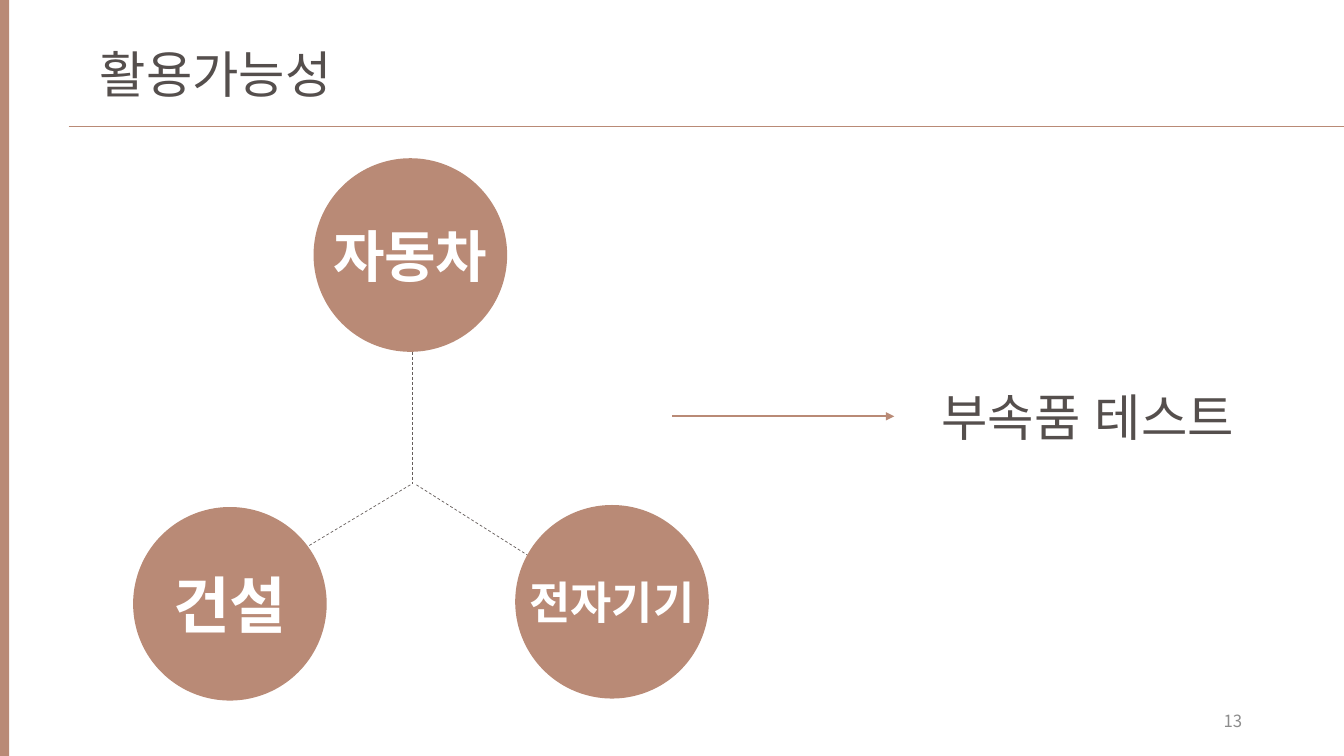
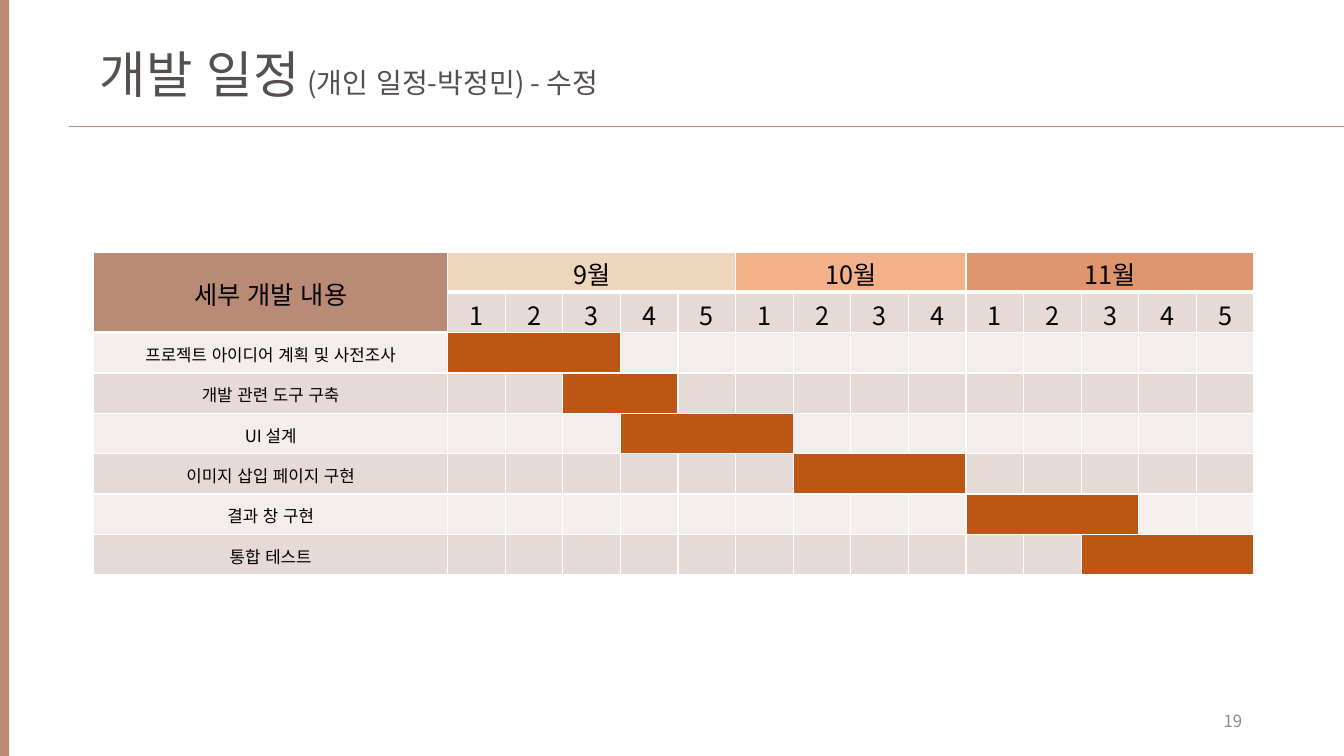
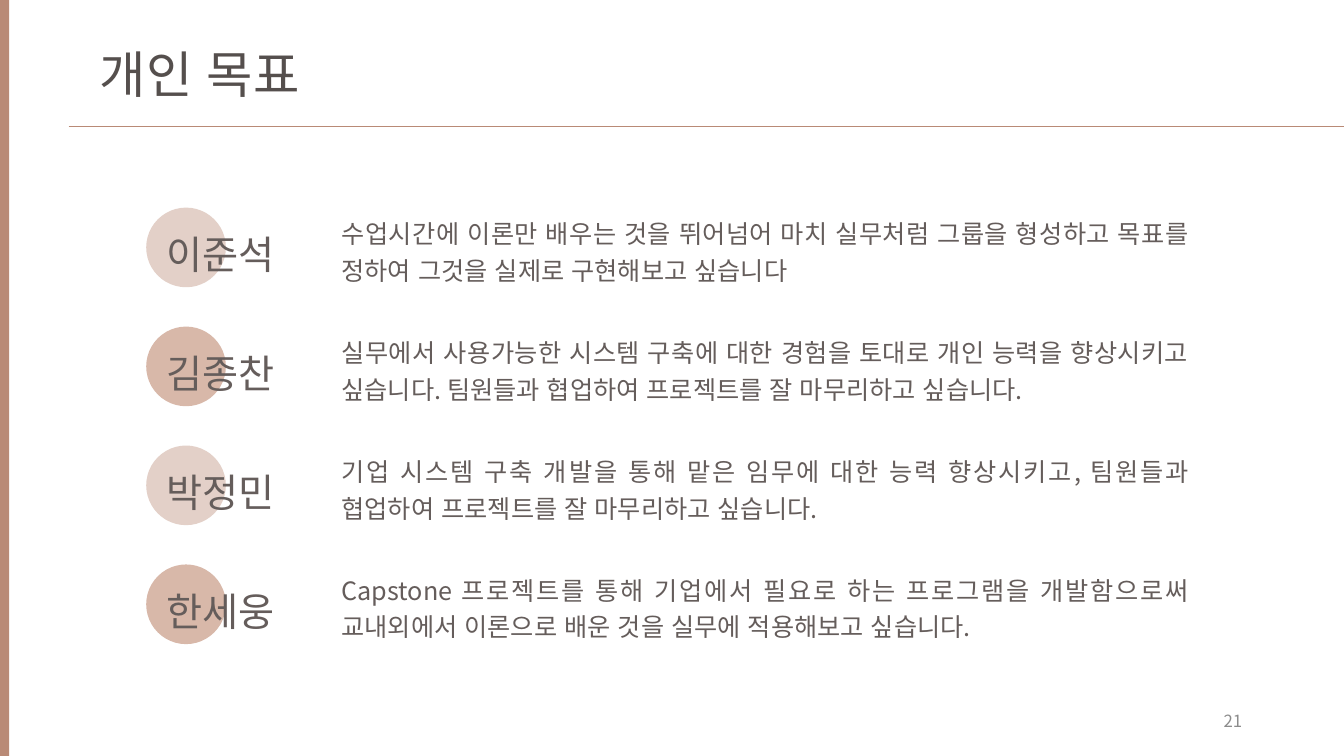
from dataclasses import dataclass

from lxml.etree import SubElement
from pptx import Presentation
from pptx.dml.color import RGBColor
from pptx.enum.dml import MSO_LINE
from pptx.enum.lang import MSO_LANGUAGE_ID
from pptx.enum.shapes import MSO_CONNECTOR, MSO_SHAPE
from pptx.enum.text import MSO_ANCHOR, MSO_AUTO_SIZE, PP_ALIGN
from pptx.oxml import parse_xml
from pptx.oxml.ns import nsdecls, qn
from pptx.util import Inches, Pt


@dataclass(frozen=True)
class Theme:
    font: str = "Noto Sans CJK KR"
    # colours
    accent: str = "B98A76"
    title: str = "554F4D"
    body: str = "655D5B"
    page: str = "8C8C8C"
    white: str = "FFFFFF"
    black: str = "000000"
    september: str = "EED6BC"
    october: str = "F2B189"
    november: str = "DE956D"
    band_dark: str = "E6DAD6"
    band_light: str = "F3EDEC"
    band_pale: str = "F6F1F0"
    bar: str = "BD5515"
    dot_light: str = "E3D0C8"
    dot_dark: str = "D8B8A9"
    # type sizes
    title_size: int = 36
    subtitle_size: int = 20
    name_size: int = 28
    body_size: int = 18
    small_size: int = 12


THEME = Theme()


class Deck:
    def __init__(self, theme):
        self.theme = theme
        self.prs = Presentation()
        self.prs.slide_width, self.prs.slide_height = Inches(13.33), Inches(7.5)
        self.slide = None

    def new_slide(self, title, page, title_width, subtitle=""):
        """Title, side band, rule and page number shared by all slides."""
        t = self.theme
        self.slide = self.prs.slides.add_slide(self.prs.slide_layouts[5])
        self.line((0.68, 1.25), (13.33, 1.25), t.accent)
        self.shape(MSO_SHAPE.RECTANGLE, 0, 0, 0.09, 7.5, t.accent)

        heading = self.slide.shapes.title
        heading.left, heading.top = Inches(0.89), Inches(0.38)
        heading.width, heading.height = Inches(title_width), Inches(0.71)
        frame = heading.text_frame
        frame.word_wrap, frame.auto_size = True, MSO_AUTO_SIZE.NONE
        frame.vertical_anchor = MSO_ANCHOR.TOP
        frame.text = title
        paragraph = frame.paragraphs[0]
        self.format(paragraph, t.title_size, t.title, PP_ALIGN.LEFT, spacing=1)
        if subtitle:
            run = paragraph.add_run()
            run.text = subtitle
            self.format_run(run, t.subtitle_size, t.title)

        self.text(page, 9.42, 6.95, 3, 0.4, t.small_size, t.page,
                  PP_ALIGN.RIGHT, anchor=MSO_ANCHOR.MIDDLE, grow=False)

    def format_run(self, run, size, color, bold=False):
        font = run.font
        font.name, font.size, font.bold = self.theme.font, Pt(size), bold
        font.color.rgb = RGBColor.from_string(color)
        font.language_id = MSO_LANGUAGE_ID.KOREAN
        latin = run._r.rPr.find(qn("a:latin"))
        latin.addnext(parse_xml(
            f'<a:ea {nsdecls("a")} typeface="{self.theme.font}"/>'))

    def format(self, paragraph, size, color, align, bold=False, spacing=None):
        paragraph.alignment = align
        paragraph.line_spacing = spacing
        for run in paragraph.runs:
            self.format_run(run, size, color, bold)

    def text(self, words, x, y, w, h, size, color, align=PP_ALIGN.LEFT,
             spacing=None, anchor=MSO_ANCHOR.TOP, grow=True):
        box = self.slide.shapes.add_textbox(Inches(x), Inches(y), Inches(w), Inches(h))
        frame = box.text_frame
        frame.word_wrap, frame.vertical_anchor = True, anchor
        if grow:
            frame.auto_size = MSO_AUTO_SIZE.SHAPE_TO_FIT_TEXT
        frame.text = words
        self.format(frame.paragraphs[0], size, color, align, spacing=spacing)

    def shape(self, kind, x, y, w, h, fill):
        shape = self.slide.shapes.add_shape(kind, Inches(x), Inches(y), Inches(w), Inches(h))
        shape.shadow.inherit = False
        shape.fill.solid()
        shape.fill.fore_color.rgb = RGBColor.from_string(fill)
        shape.line.fill.background()
        return shape

    def circle(self, x, y, diameter, fill, label="", size=0):
        circle = self.shape(MSO_SHAPE.OVAL, x, y, diameter, diameter, fill)
        if label:
            frame = circle.text_frame
            frame.word_wrap, frame.vertical_anchor = False, MSO_ANCHOR.MIDDLE
            frame.text = label
            self.format(frame.paragraphs[0], size, self.theme.white,
                        PP_ALIGN.CENTER, bold=True)

    def line(self, start, end, color, width=0.5, dashed=False, arrow=False):
        line = self.slide.shapes.add_connector(
            MSO_CONNECTOR.STRAIGHT, *map(Inches, start), *map(Inches, end))
        line.line.width = Pt(width)
        line.line.color.rgb = RGBColor.from_string(color)
        if dashed:
            line.line.dash_style = MSO_LINE.DASH
        if arrow:
            SubElement(line.line._get_or_add_ln(), qn("a:tailEnd"), type="triangle")
        SubElement(line._element.spPr, qn("a:effectLst"))

    def table(self, x, y, col_widths, row_heights):
        table = self.slide.shapes.add_table(
            len(row_heights), len(col_widths), Inches(x), Inches(y),
            Inches(sum(col_widths)), Inches(sum(row_heights))).table
        table.first_row = table.horz_banding = False
        for column, width in zip(table.columns, col_widths):
            column.width = Inches(width)
        for row, height in zip(table.rows, row_heights):
            row.height = Inches(height)
        return table

    def cell(self, cell, fill, words="", size=THEME.body_size, bottom=1):
        cell.fill.solid()
        cell.fill.fore_color.rgb = RGBColor.from_string(fill)
        cell.vertical_anchor = MSO_ANCHOR.MIDDLE
        cell.margin_left = cell.margin_right = Inches(0.05)
        cell.margin_top, cell.margin_bottom = Inches(0.03), 0
        if words:
            cell.text = words
            self.format(cell.text_frame.paragraphs[0], size, self.theme.black,
                        PP_ALIGN.CENTER)
        borders = {"lnL": 1, "lnR": 1, "lnT": 1, "lnB": bottom}
        for index, (side, width) in enumerate(borders.items()):
            cell._tc.get_or_add_tcPr().insert(index, parse_xml(
                f'<a:{side} {nsdecls("a")} w="{Pt(width)}"><a:solidFill>'
                f'<a:srgbClr val="{self.theme.white}"/></a:solidFill></a:{side}>'))


def applications(deck):
    t = deck.theme
    deck.new_slide("활용가능성", "13", 2.73)
    # Spokes behind the three fields
    for start, end in (((4.09, 3.49), (4.09, 4.8)),
                       ((4.07, 4.81), (2.67, 5.65)),
                       ((4.13, 4.81), (5.3, 5.55))):
        deck.line(start, end, t.body, dashed=True)
    for field, x, y, size in (("건설", 1.32, 5.03, 44),
                              ("자동차", 3.11, 1.57, 40),
                              ("전자기기", 5.11, 5.01, 32)):
        deck.circle(x, y, 1.92, t.accent, field, size)
    # Outcome
    deck.line((6.67, 4.13), (8.87, 4.13), t.accent, width=1.5, arrow=True)
    deck.text("부속품 테스트", 9.24, 3.78, 3.55, 0.71, t.title_size, t.title)


def schedule(deck):
    t = deck.theme
    deck.new_slide("개발 일정", "19", 5.78, " (개인 일정-박정민) - 수정")
    months = (("9월", 5, t.september), ("10월", 4, t.october), ("11월", 5, t.november))
    # Task, first week and last week, counted over all months
    tasks = (("프로젝트 아이디어 계획 및 사전조사", 1, 3),
             ("개발 관련 도구 구축", 3, 4),
             ("UI 설계", 4, 6),
             ("이미지 삽입 페이지 구현", 7, 9),
             ("결과 창 구현", 10, 12),
             ("통합 테스트", 12, 14))
    weeks = sum(count for _, count, _ in months)
    table = deck.table(0.93, 2.5, [3.51] + [8 / weeks] * weeks,
                       [0.4] * (2 + len(tasks)))

    # Month and week headings
    deck.cell(table.cell(0, 0), t.accent, "세부 개발 내용", bottom=3)
    deck.cell(table.cell(1, 0), t.accent)
    table.cell(0, 0).merge(table.cell(1, 0))
    first = 1
    for month, count, color in months:
        for week in range(count):
            deck.cell(table.cell(0, first + week), color,
                      month if week == 0 else "", bottom=3)
            deck.cell(table.cell(1, first + week), t.band_dark, str(week + 1))
        table.cell(0, first).merge(table.cell(0, first + count - 1))
        first += count

    # Task rows with their bars
    for row, (task, start, end) in enumerate(tasks, 2):
        band = t.band_dark if row % 2 else t.band_light
        deck.cell(table.cell(row, 0), band, task, t.small_size)
        for week in range(1, weeks + 1):
            rest = t.band_pale if task == "결과 창 구현" and week > end else band
            deck.cell(table.cell(row, week), t.bar if start <= week <= end else rest)
        table.cell(row, start).merge(table.cell(row, end))


def personal_goals(deck):
    t = deck.theme
    deck.new_slide("개인 목표", "21", 2.4)
    goals = (
        ("이준석", "수업시간에 이론만 배우는 것을 뛰어넘어 마치 실무처럼 그룹을 형성하고 "
                "목표를 정하여 그것을 실제로 구현해보고 싶습니다"),
        ("김종찬", "실무에서 사용가능한 시스템 구축에 대한 경험을 토대로 개인 능력을 "
                "향상시키고 싶습니다. 팀원들과 협업하여 프로젝트를 잘 마무리하고 싶습니다."),
        ("박정민", "기업 시스템 구축 개발을 통해 맡은 임무에 대한 능력 향상시키고, "
                "팀원들과 협업하여 프로젝트를 잘 마무리하고 싶습니다."),
        ("한세웅", "Capstone 프로젝트를 통해 기업에서 필요로 하는 프로그램을 개발함으로써 "
                "교내외에서 이론으로 배운 것을 실무에 적용해보고 싶습니다."),
    )
    for index, (member, goal) in enumerate(goals):
        y = 2.06 + 1.18 * index
        deck.circle(1.45, y, 0.79, t.dot_dark if index % 2 else t.dot_light)
        deck.text(member, 1.55, y + 0.08, 1.38, 0.63, t.name_size, t.body,
                  PP_ALIGN.JUSTIFY, spacing=1.2)
        deck.text(goal, 3.29, y, 8.6, 0.79, t.body_size, t.body,
                  PP_ALIGN.JUSTIFY, spacing=1.2)


def main():
    deck = Deck(THEME)
    applications(deck)
    schedule(deck)
    personal_goals(deck)
    deck.prs.save("out.pptx")


if __name__ == "__main__":
    main()
